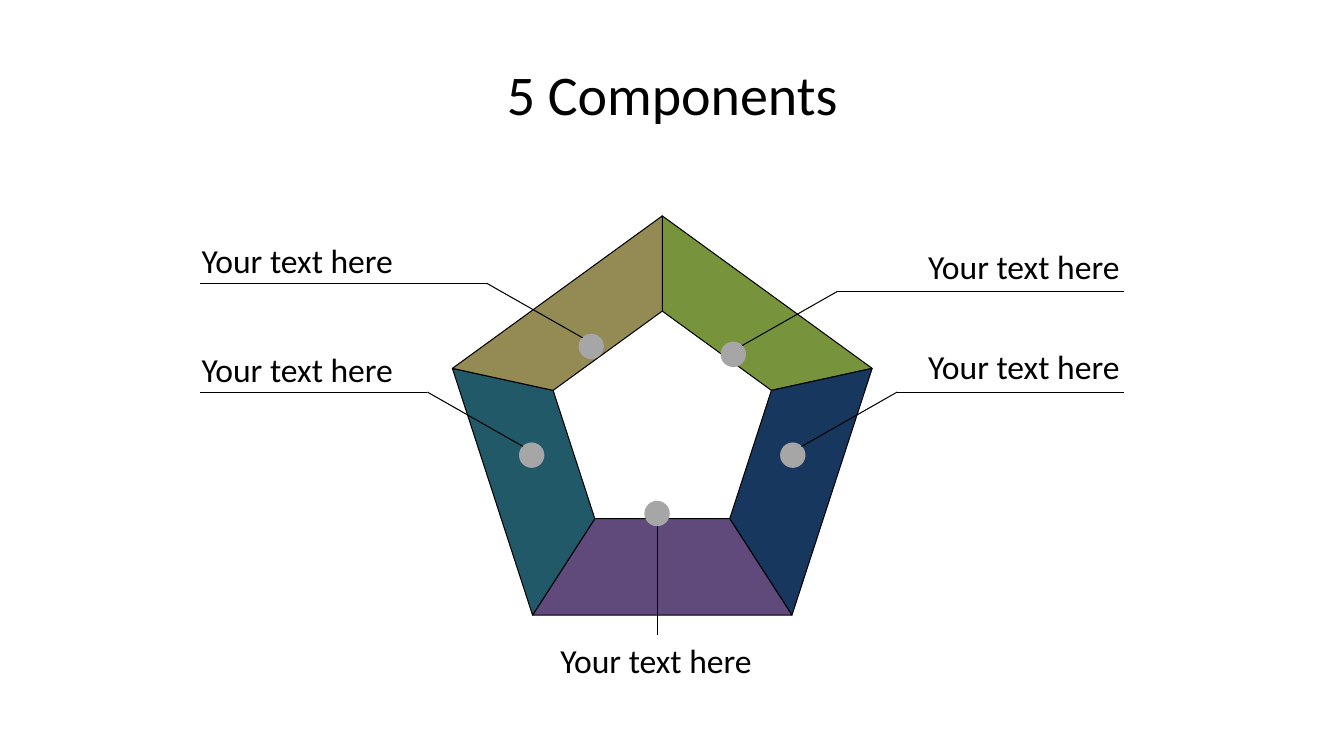
from dataclasses import dataclass
from math import cos, pi, sin

from lxml.etree import SubElement
from pptx import Presentation
from pptx.dml.color import RGBColor as Rgb
from pptx.enum.shapes import MSO_CONNECTOR as Link, MSO_SHAPE as Kind
from pptx.enum.text import MSO_ANCHOR as Anchor, MSO_AUTO_SIZE as Fit, PP_ALIGN as Align
from pptx.oxml.ns import qn
from pptx.util import Cm, Pt


@dataclass(frozen=True)
class Theme:
    font: str = "Calibri"
    ink: str = "000000"
    dot: str = "A6A6A6"
    sides: tuple = ("77933C", "17375E", "604A7B", "215968", "948A54")
    title: int = 40
    label: int = 24
    rule: float = 0.75
    edge: float = 0


@dataclass(frozen=True)
class Box:
    x: float
    y: float
    w: float
    h: float

    def place(self):
        return [Cm(v) for v in (self.x, self.y, self.w, self.h)]


THEME = Theme()
LABEL = "Your text here"
DOT = 0.64


def apply(item, form):
    for name, value in form.items():
        setattr(item, name, value)


def write(frame, text, size, align):
    frame.text = text
    para = frame.paragraphs[0]
    para.alignment = align
    font = para.runs[0].font
    apply(font, {"name": THEME.font, "size": Pt(size), "bold": False})
    font.color.rgb = Rgb.from_string(THEME.ink)


def paint(shape, color):
    shape.shadow.inherit = False
    shape.fill.solid()
    shape.fill.fore_color.rgb = Rgb.from_string(color)


def stroke(line, width):
    line.color.rgb = Rgb.from_string(THEME.ink)
    line.width = Pt(width)


def rule(group, start, end):
    line = group.shapes.add_connector(Link.STRAIGHT, *map(Cm, start + end))
    stroke(line.line, THEME.rule)
    SubElement(line._element.spPr, qn("a:effectLst"))


def dot(group, x, y):
    disc = group.shapes.add_shape(
        Kind.OVAL, *Box(x - DOT / 2, y - DOT / 2, DOT, DOT).place())
    paint(disc, THEME.dot)
    disc.line.fill.background()


def label(slide, box):
    frame = slide.shapes.add_textbox(*box.place()).text_frame
    apply(frame, {"word_wrap": False, "auto_size": Fit.SHAPE_TO_FIT_TEXT})
    write(frame, LABEL, THEME.label, Align.LEFT)


# Title
def head(slide, box):
    title = slide.shapes.title
    apply(title, dict(zip(("left", "top", "width", "height"), box.place())))
    apply(title.text_frame, {"vertical_anchor": Anchor.MIDDLE, "word_wrap": True})
    write(title.text_frame, "5 Components", THEME.title, Align.CENTER)


# Pentagon ring: one freeform per side, clockwise from the top
def ring(slide, box):
    def corner(radius, mid, step):
        turn = 2 * pi * step / 5
        return (Cm(box.x + box.w / 2 + radius * sin(turn)),
                Cm(mid - radius * cos(turn)))

    group = slide.shapes.add_group_shape()
    outer = box.h / (1 + cos(pi / 5))
    inner = 0.52 * outer
    mid = box.y + outer
    core = mid - 0.27
    for step, color in enumerate(THEME.sides):
        path = group.shapes.build_freeform(*corner(outer, mid, step))
        path.add_line_segments([corner(outer, mid, step + 1),
                                corner(inner, core, step + 1),
                                corner(inner, core, step)])
        side = path.convert_to_shape()
        paint(side, color)
        stroke(side.line, THEME.edge)


# Side callout: the dot, a slanted line and a rule below the label
def callout(slide, box, x, y, way):
    group = slide.shapes.add_group_shape()
    start = (x + way * 0.22, y - 0.22)
    bend = (start[0] + way * 2.41, start[1] - 1.37)
    far = box.x if way < 0 else box.x + box.w
    dot(group, x, y)
    rule(group, start, bend)
    rule(group, bend, (far, bend[1]))
    left, rise = (far - 0.22, 1.21) if way < 0 else (far - 5.18, 1.28)
    label(slide, Box(left, bend[1] - rise, 5.38, 1.27))


# Bottom callout: a rule straight down to the label
def drop(slide, box):
    group = slide.shapes.add_group_shape()
    mid = box.x + box.w / 2
    rule(group, (mid, box.y), (mid, box.y + 3.17))
    dot(group, mid, box.y + 0.11)
    label(slide, Box(box.x, box.y + 3.17, box.w, 1.27))


def main():
    deck = Presentation()
    apply(deck, {"slide_width": Cm(33.87), "slide_height": Cm(19.05)})
    slide = deck.slides.add_slide(deck.slide_layouts[5])
    head(slide, Box(1.7, 0.76, 30.48, 3.18))
    ring(slide, Box(11.4, 5.44, 10.58, 10.06))
    span = Box(5.05, 5.9, 23.27, 6)
    for x, y, way in ((14.9, 8.73, -1), (13.4, 11.47, -1),
                      (18.48, 8.93, 1), (19.98, 11.47, 1)):
        callout(slide, span, x, y, way)
    drop(slide, Box(13.87, 12.83, 5.38, 4.44))
    deck.save("out.pptx")


if __name__ == "__main__":
    main()
